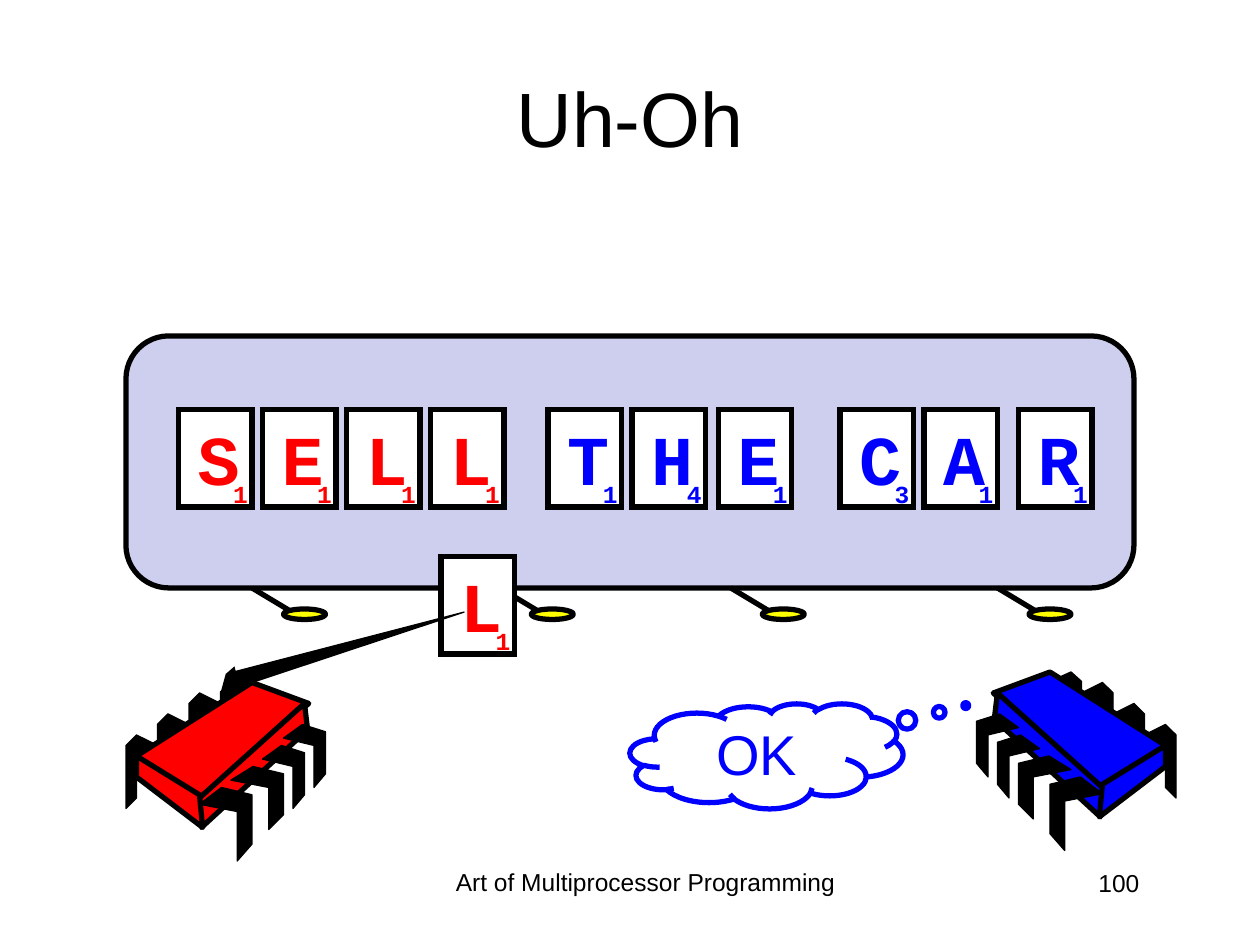
from dataclasses import dataclass

from lxml import etree
from pptx import Presentation
from pptx.dml.color import RGBColor
from pptx.enum.shapes import MSO_CONNECTOR, MSO_SHAPE
from pptx.enum.text import MSO_ANCHOR, PP_ALIGN
from pptx.oxml.ns import qn
from pptx.util import Pt

PX = 7620  # EMU per px, 120 px to the inch
COLORS = {
    "black": "000000",
    "white": "FFFFFF",
    "red": "FF0000",
    "blue": "0000FF",
    "yellow": "FFFF00",
    "board": "CECEEF",
}
SANS, MONO = "Arial", "Courier New"
CENTER, RIGHT = PP_ALIGN.CENTER, PP_ALIGN.RIGHT
TOP, MIDDLE = MSO_ANCHOR.TOP, MSO_ANCHOR.MIDDLE
RECTANGLE, ROUNDED = MSO_SHAPE.RECTANGLE, MSO_SHAPE.ROUNDED_RECTANGLE
OVAL, CLOUD = MSO_SHAPE.OVAL, MSO_SHAPE.CLOUD_CALLOUT
STRAIGHT = MSO_CONNECTOR.STRAIGHT
THICK, THIN = 3, 0.75

Points = list[tuple[int, int]]


@dataclass(frozen=True)
class Tile:
    letter: str
    score: int
    left: int
    top: int
    color: str


@dataclass(frozen=True)
class Part:
    """One outline of a processor chip; the body takes the chip's colour."""
    points: Points
    is_body: bool = False


@dataclass(frozen=True)
class Chip:
    color: str
    mirrored: bool


def shifted(points: Points, dx: int, dy: int) -> Points:
    return [(x + dx, y + dy) for x, y in points]


BACK_LEG = [(150, 710), (130, 700), (120, 710), (120, 770), (130, 760), (130, 720), (150, 730)]
SHORT_BACK_LEG = [(240, 659), (220, 650), (210, 659), (210, 710), (220, 702), (220, 667), (240, 676)]
FRONT_LEG = [(268, 710), (250, 723), (279, 730), (279, 770), (290, 757), (290, 717)]
CHIP_PARTS = [
    *(Part(shifted(BACK_LEG, 30 * i, -20 * i)) for i in range(3)),
    Part(SHORT_BACK_LEG),
    Part([(240, 650), (130, 720), (192, 762), (294, 670)], True),
    Part([(290, 670), (190, 760), (192, 788), (293, 695)], True),
    Part([(130, 720), (130, 740), (193, 788), (190, 757)], True),
    Part([(211, 750), (190, 766), (226, 773), (226, 820), (240, 804), (240, 757)]),
    Part([(241, 730), (220, 743), (256, 750), (256, 790), (270, 776), (270, 737)]),
    *(Part(shifted(FRONT_LEG, 20 * i, -20 * i)) for i in range(2)),
]
CHIPS = [Chip("red", False), Chip("blue", True)]

ROW_TOP = 390
TILES = [
    Tile(letter, score, left, ROW_TOP, color)
    for color, letters, scores, lefts in [
        ("red", "SELL", (1, 1, 1, 1), (170, 250, 330, 410)),
        ("blue", "THE", (1, 4, 1), (522, 602, 684)),
        ("blue", "CAR", (3, 1, 1), (800, 880, 970)),
    ]
    for letter, score, left in zip(letters, scores, lefts)
] + [Tile("L", 1, 420, 530, "red")]
FOOT_LEFTS = [240, 476, 696, 950]


def rgb(name: str) -> RGBColor:
    return RGBColor.from_string(COLORS[name])


def set_style(shape, fill: str | None, line: str, weight: float) -> None:
    shape.shadow.inherit = False
    if fill:
        shape.fill.solid()
        shape.fill.fore_color.rgb = rgb(fill)
    else:
        shape.fill.background()
    shape.line.color.rgb = rgb(line)
    shape.line.width = Pt(weight)


def add_line_detail(shape, tag: str, **attributes: str) -> None:
    etree.SubElement(shape.line._get_or_add_ln(), qn(tag), **attributes)


def write_text(shape, text: str, *, size: int, color: str = "black", font: str = SANS,
               bold: bool = False, align=CENTER, anchor=TOP, wrap: bool = True) -> None:
    frame = shape.text_frame
    frame.word_wrap = wrap
    frame.vertical_anchor = anchor
    paragraph = frame.paragraphs[0]
    paragraph.alignment = align
    run = paragraph.add_run()
    run.text = text
    run.font.name = font
    run.font.size = Pt(size)
    run.font.bold = bold
    run.font.color.rgb = rgb(color)


def add_label(slide, box: tuple[int, int, int, int], text: str, **text_format) -> None:
    write_text(slide.shapes.add_textbox(*(n * PX for n in box)), text, **text_format)


def add_preset(slide, kind, box: tuple[int, int, int, int], fill: str | None, line: str = "black"):
    shape = slide.shapes.add_shape(kind, *(n * PX for n in box))
    set_style(shape, fill, line, THICK)
    return shape


def add_outline(slide, points: Points, fill: str, weight: float, close: bool = True):
    builder = slide.shapes.build_freeform(*points[0], scale=PX)
    builder.add_line_segments(points[1:], close=close)
    shape = builder.convert_to_shape()
    set_style(shape, fill, "black", weight)
    return shape


def add_foot(slide, left: int) -> None:
    leg = slide.shapes.add_connector(STRAIGHT, *(n * PX for n in (left, 560, left + 50, 590)))
    leg.line.color.rgb = rgb("black")
    leg.line.width = Pt(THICK)
    etree.SubElement(leg._element.spPr, qn("a:effectLst"))
    add_preset(slide, OVAL, (left + 30, 580, 40, 10), "yellow")


def add_tile(slide, tile: Tile) -> None:
    card = add_preset(slide, RECTANGLE, (tile.left, tile.top, 70, 93), "white")
    add_line_detail(card, "a:miter", lim="800000")
    letter_format = {"color": tile.color, "font": MONO, "bold": True, "align": RIGHT}
    write_text(card, tile.letter, size=40, **letter_format)
    add_label(slide, (tile.left + 40, tile.top + 60, 38, 40), str(tile.score),
              size=14, wrap=False, **letter_format)


def add_chip(slide, chip: Chip) -> None:
    for part in CHIP_PARTS:
        points = part.points
        if chip.mirrored:
            points = [(1240 - x, y - 10) for x, y in points]
        add_outline(slide, points, chip.color if part.is_body else "black",
                    THICK if part.is_body else THIN)


def add_pull_arrow(slide) -> None:
    arrow = add_outline(slide, [(210, 660), (442, 583), (215, 642)], "black", THIN, close=False)
    add_line_detail(arrow, "a:tailEnd", type="triangle")


def main() -> None:
    presentation = Presentation()
    presentation.slide_width, presentation.slide_height = 1200 * PX, 900 * PX
    slide = presentation.slides.add_slide(presentation.slide_layouts[6])

    add_label(slide, (60, 36, 1080, 150), "Uh-Oh", size=44, anchor=MIDDLE)
    board = add_preset(slide, ROUNDED, (120, 320, 960, 240), "board")
    board.adjustments[0] = 0.17
    for left in FOOT_LEFTS:
        add_foot(slide, left)
    for tile in TILES:
        add_tile(slide, tile)
    for chip in CHIPS:
        add_chip(slide, chip)

    thought = add_preset(slide, CLOUD, (600, 670, 260, 100), None, "blue")
    thought.adjustments[0], thought.adjustments[1] = 0.73, -0.48
    write_text(thought, "OK", size=32, color="blue", anchor=MIDDLE)
    add_pull_arrow(slide)
    add_label(slide, (410, 820, 410, 62), "Art of Multiprocessor Programming", size=14)
    add_label(slide, (847, 821, 250, 60), "100", size=14, align=RIGHT)
    presentation.save("out.pptx")


if __name__ == "__main__":
    main()
